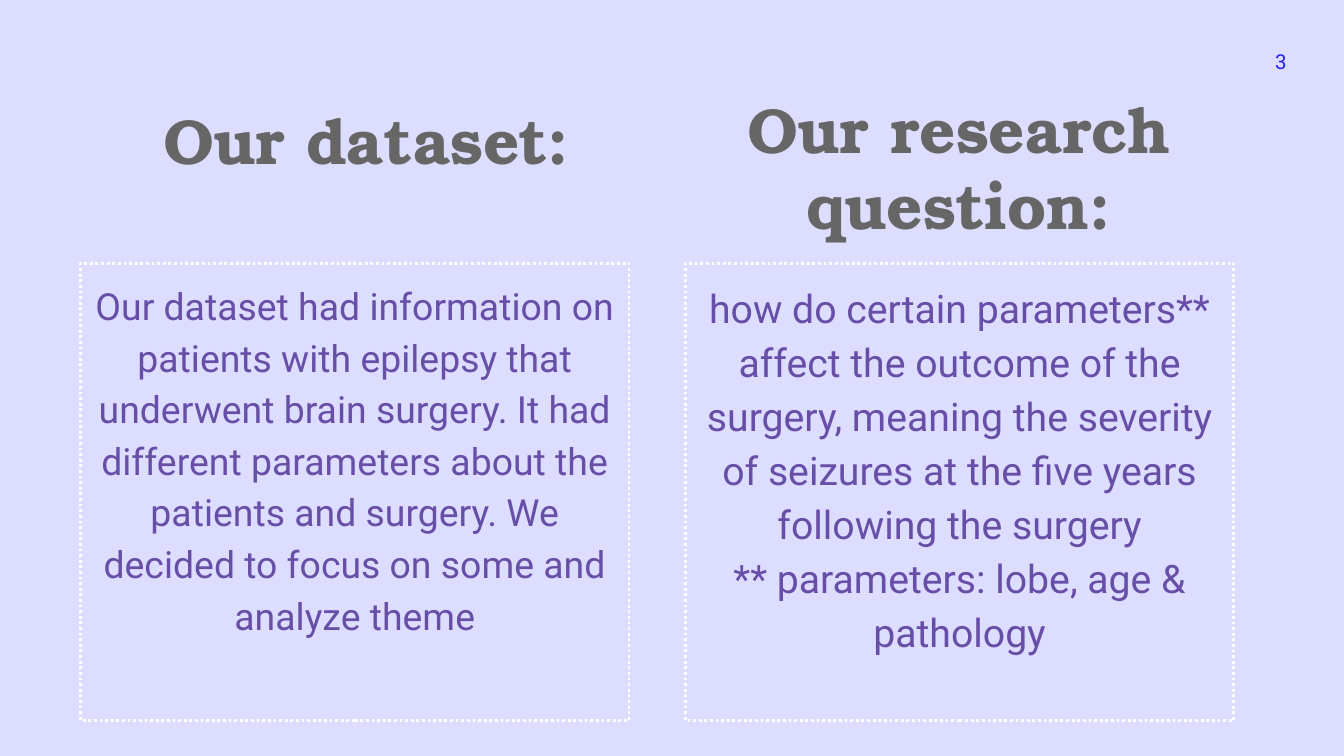
from dataclasses import dataclass

from pptx import Presentation
from pptx.dml.color import RGBColor
from pptx.enum.dml import MSO_LINE
from pptx.enum.shapes import MSO_SHAPE
from pptx.enum.text import MSO_ANCHOR, PP_ALIGN
from pptx.shapes.autoshape import Shape
from pptx.slide import Slide
from pptx.util import Pt


@dataclass(frozen=True)
class TextStyle:
    font: str
    size: float
    color: str
    bold: bool = False
    align: PP_ALIGN = PP_ALIGN.CENTER
    line_spacing: float = 1.0


@dataclass(frozen=True)
class Theme:
    background: str = "DDDDFF"
    border: str = "FFFFFF"
    border_width: float = 1.5
    inset: float = 7.2
    heading: TextStyle = TextStyle("TeX Gyre Bonum", 34, "666666", bold=True)
    dataset_body: TextStyle = TextStyle("Roboto", 20, "674EA7", line_spacing=1.15)
    question_body: TextStyle = TextStyle("Roboto", 21, "674EA7", line_spacing=1.15)
    page_number: TextStyle = TextStyle("Roboto", 11, "2322EF", align=PP_ALIGN.RIGHT)


@dataclass(frozen=True)
class Frame:
    left: float
    top: float
    width: float
    height: float


@dataclass(frozen=True)
class Column:
    heading: str
    heading_frame: Frame
    body: tuple[str, ...]
    body_frame: Frame
    body_style: TextStyle


THEME = Theme()
HEADING_WIDTH, HEADING_HEIGHT = 317.5, 81.4
BODY_TOP, BODY_WIDTH, BODY_HEIGHT = 141.1, 293.8, 244.8

COLUMNS = (
    Column(
        "Our dataset:",
        Frame(37.4, 46.8, HEADING_WIDTH, HEADING_HEIGHT),
        (
            "Our dataset had information on patients with epilepsy that "
            "underwent brain surgery. It had different parameters about the "
            "patients and surgery. We decided to focus on some and analyze theme",
        ),
        Frame(43.2, BODY_TOP, BODY_WIDTH, BODY_HEIGHT),
        THEME.dataset_body,
    ),
    Column(
        "Our research question:",
        Frame(355, 41, HEADING_WIDTH, HEADING_HEIGHT),
        (
            "how do certain parameters** affect the outcome of the surgery, "
            "meaning the severity of seizures at the five years following the surgery",
            "** parameters: lobe, age & pathology",
        ),
        Frame(367.2, BODY_TOP, BODY_WIDTH, BODY_HEIGHT),
        THEME.question_body,
    ),
)


def lengths(frame: Frame) -> tuple[Pt, Pt, Pt, Pt]:
    return Pt(frame.left), Pt(frame.top), Pt(frame.width), Pt(frame.height)


def write_text(box: Shape, texts: tuple[str, ...], style: TextStyle) -> None:
    text_frame = box.text_frame
    frame_format = {"word_wrap": True, "vertical_anchor": MSO_ANCHOR.TOP}
    for side in ("left", "top", "right", "bottom"):
        frame_format[f"margin_{side}"] = Pt(THEME.inset)
    for name, value in frame_format.items():
        setattr(text_frame, name, value)

    font_format = {"name": style.font, "size": Pt(style.size), "bold": style.bold}
    for index, text in enumerate(texts):
        para = text_frame.add_paragraph() if index else text_frame.paragraphs[0]
        para.alignment = style.align
        para.line_spacing = style.line_spacing
        span = para.add_run()
        span.text = text
        for name, value in font_format.items():
            setattr(span.font, name, value)
        span.font.color.rgb = RGBColor.from_string(style.color)


def add_label(page: Slide, frame: Frame, text: str, style: TextStyle) -> None:
    write_text(page.shapes.add_textbox(*lengths(frame)), (text,), style)


def add_dotted_panel(
    page: Slide, frame: Frame, texts: tuple[str, ...], style: TextStyle
) -> None:
    box = page.shapes.add_shape(MSO_SHAPE.RECTANGLE, *lengths(frame))
    box.shadow.inherit = False
    box.fill.background()
    box.line.color.rgb = RGBColor.from_string(THEME.border)
    box.line.width = Pt(THEME.border_width)
    box.line.dash_style = MSO_LINE.ROUND_DOT
    write_text(box, texts, style)


def main() -> None:
    deck = Presentation()
    deck.slide_width, deck.slide_height = Pt(720), Pt(405)
    page = deck.slides.add_slide(deck.slide_layouts[6])
    page.background.fill.solid()
    page.background.fill.fore_color.rgb = RGBColor.from_string(THEME.background)

    # Headings above dotted panels
    for column in COLUMNS:
        add_dotted_panel(page, column.body_frame, column.body, column.body_style)
        add_label(page, column.heading_frame, column.heading, THEME.heading)

    # Page number
    add_label(page, Frame(668.9, 19.4, 27.4, 13.7), "3", THEME.page_number)

    deck.save("out.pptx")


if __name__ == "__main__":
    main()
